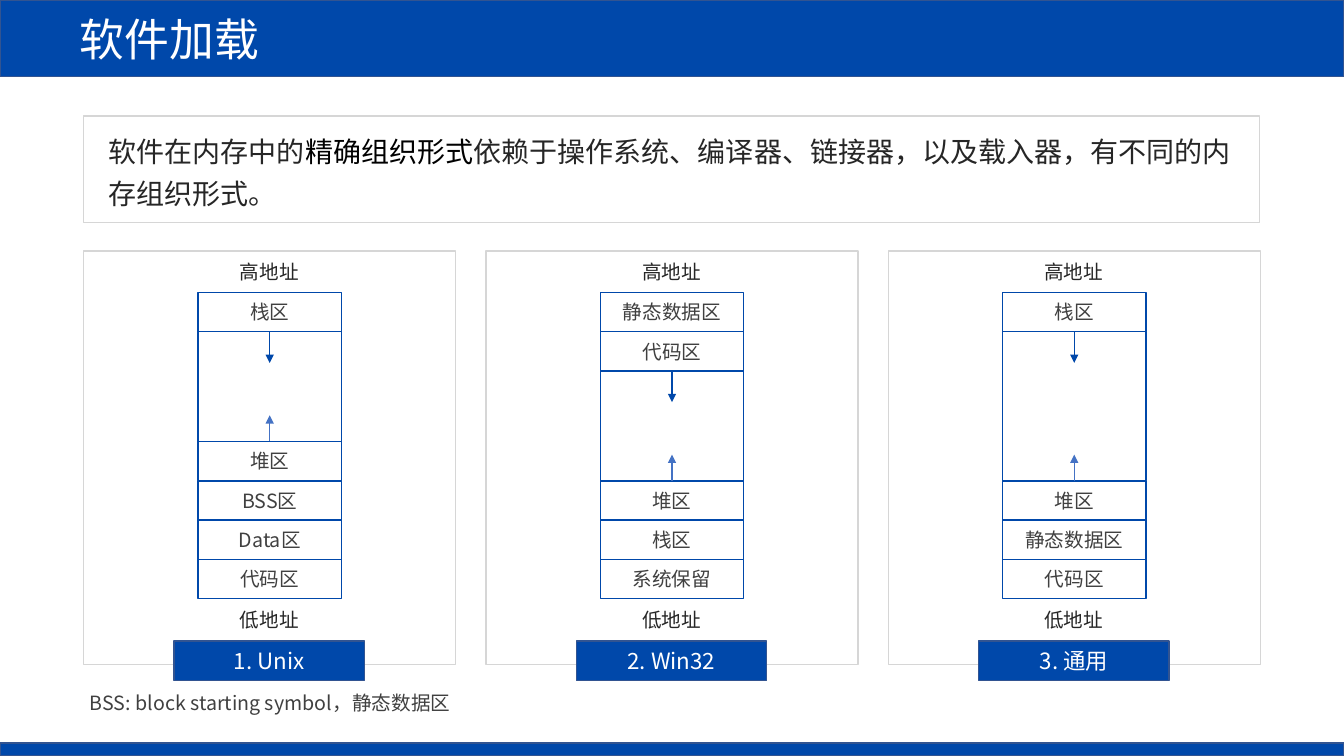
from dataclasses import dataclass

from lxml import etree
from pptx import Presentation
from pptx.dml.color import RGBColor
from pptx.enum.shapes import MSO_CONNECTOR, MSO_SHAPE
from pptx.enum.text import MSO_ANCHOR, PP_ALIGN
from pptx.oxml.ns import qn
from pptx.util import Inches, Pt

RECT = MSO_SHAPE.RECTANGLE
STRAIGHT = MSO_CONNECTOR.STRAIGHT
LEFT, CENTER = PP_ALIGN.LEFT, PP_ALIGN.CENTER
TOP, MIDDLE = MSO_ANCHOR.TOP, MSO_ANCHOR.MIDDLE
TOP_SIDE, BOTTOM_SIDE = 0, 2


@dataclass(frozen=True)
class Theme:
    font: str = "Noto Sans CJK SC"
    blue: str = "0048AA"
    edge: str = "325491"
    arrow: str = "4472C4"
    frame: str = "D6D6D6"
    white: str = "FFFFFF"
    black: str = "000000"
    dark: str = "262626"
    grey: str = "404040"
    title: int = 32
    body: int = 20
    caption: int = 16
    label: int = 14


THEME = Theme()
SLIDE_W, SLIDE_H = 13.33, 7.5
CELL_W, CELL_H = 1.42, 0.39
PANEL_W, PANEL_H, PANEL_PITCH = 3.69, 4.1, 3.99
INSETS = (0.1, 0.05, 0.1, 0.05)

INTRO = [
    ("软件在内存中的", THEME.dark),
    ("精确组织形式", THEME.black),
    ("依赖于操作系统、编译器、链接器，以及载入器，有不同的内存组织形式。", THEME.dark),
]
LAYOUTS = [
    ("1. Unix", ["栈区"], ["堆区", "BSS区", "Data区", "代码区"]),
    ("2. Win32", ["静态数据区", "代码区"], ["堆区", "栈区", "系统保留"]),
    ("3. 通用", ["栈区"], ["堆区", "静态数据区", "代码区"]),
]


def write(sp, text, size=THEME.label, color=THEME.grey, align=CENTER, anchor=MIDDLE,
          insets=INSETS, wrap=True, spacing=None):
    tf = sp.text_frame
    tf.word_wrap = wrap
    tf.vertical_anchor = anchor
    tf.margin_left, tf.margin_top, tf.margin_right, tf.margin_bottom = map(Inches, insets)
    p = tf.paragraphs[0]
    p.alignment = align
    if spacing:
        p.line_spacing = spacing
    for part, part_color in [(text, color)] if isinstance(text, str) else text:
        r = p.add_run()
        r.text = part
        r.font.size = Pt(size)
        r.font.color.rgb = RGBColor.from_string(part_color)
        r.font.name = THEME.font
        etree.SubElement(r.font._element, qn("a:ea"), typeface=THEME.font)


def add_rect(shapes, x, y, w, h, line, fill=None):
    sp = shapes.add_shape(RECT, Inches(x), Inches(y), Inches(w), Inches(h))
    sp.shadow.inherit = False
    if fill:
        sp.fill.solid()
        sp.fill.fore_color.rgb = RGBColor.from_string(fill)
    else:
        sp.fill.background()
    sp.line.color.rgb = RGBColor.from_string(line)
    sp.line.width = Pt(1)
    return sp


def add_text(shapes, x, y, w, h, text, **fmt):
    sp = shapes.add_textbox(Inches(x), Inches(y), Inches(w), Inches(h))
    write(sp, text, **fmt)


def add_arrow(shapes, cell, side, x, end_y, color):
    cxn = shapes.add_connector(STRAIGHT, Inches(x), Inches(end_y), Inches(x), Inches(end_y))
    cxn.begin_connect(cell, side)
    cxn.end_x, cxn.end_y = cxn.begin_x, Inches(end_y)
    cxn.line.color.rgb = RGBColor.from_string(color)
    cxn.line.width = Pt(1)
    etree.SubElement(cxn.line._get_or_add_ln(), qn("a:tailEnd"), type="triangle")
    etree.SubElement(cxn._element.spPr, qn("a:effectLst"))


def add_bars(shapes, w, h):
    header = add_rect(shapes, 0, 0, w, 0.76, THEME.edge, THEME.blue)
    write(header, "软件加载", size=THEME.title, color=THEME.white, align=LEFT,
          insets=(0.79, 0.05, 0.1, 0.05))
    add_rect(shapes, 0, h - 0.13, w, 0.13, THEME.edge, THEME.blue)


def add_intro(shapes, x, y, w, h):
    add_rect(shapes, x, y, w, h, THEME.frame)
    add_text(shapes, x + 0.15, y + 0.05, w - 0.3, h - 0.16, INTRO,
             size=THEME.body, align=LEFT, anchor=TOP, spacing=1.25)


def add_cells(shapes, x, y, names):
    cells = []
    for i, name in enumerate(names):
        cell = add_rect(shapes, x, y + i * CELL_H, CELL_W, CELL_H, THEME.blue)
        write(cell, name, insets=(0, 0, 0, 0))
        cells.append(cell)
    return cells


def add_memory_panel(shapes, x, y, w, h, caption, upper, lower):
    mid = x + w / 2
    cell_x = mid - CELL_W / 2
    stack_top, stack_bottom = y + 0.41, y + 3.45
    free_top = stack_top + len(upper) * CELL_H
    free_bottom = stack_bottom - len(lower) * CELL_H

    add_rect(shapes, x, y, w, h, THEME.frame)
    for label, label_y in (("高地址", y + 0.04), ("低地址", y + 3.49)):
        add_text(shapes, mid - 0.4, label_y, 0.79, 0.34, label,
                 color=THEME.dark, anchor=TOP, wrap=False)
    upper_cells = add_cells(shapes, cell_x, stack_top, upper)
    lower_cells = add_cells(shapes, cell_x, free_bottom, lower)
    add_rect(shapes, cell_x, free_top, CELL_W, free_bottom - free_top, THEME.blue)
    add_arrow(shapes, upper_cells[-1], BOTTOM_SIDE, mid, free_top + 0.31, THEME.blue)
    add_arrow(shapes, lower_cells[0], TOP_SIDE, mid, free_bottom - 0.26, THEME.arrow)
    tag = add_rect(shapes, mid - 0.95, y + 3.87, 1.89, CELL_H, THEME.edge, THEME.blue)
    write(tag, caption, size=THEME.caption, color=THEME.white)


def build_slide(prs):
    s = prs.slides.add_slide(prs.slide_layouts[6])
    add_bars(s.shapes, SLIDE_W, SLIDE_H)
    add_intro(s.shapes, 0.83, 1.15, 11.66, 1.06)
    for i, layout in enumerate(LAYOUTS):
        group = s.shapes.add_group_shape()
        add_memory_panel(group.shapes, 0.83 + i * PANEL_PITCH, 2.49, PANEL_W, PANEL_H, *layout)
    add_text(s.shapes, 0.72, 6.78, 3.92, 0.39, "BSS: block starting symbol，静态数据区",
             insets=(0, 0, 0, 0))


def main():
    prs = Presentation()
    prs.slide_width, prs.slide_height = Inches(SLIDE_W), Inches(SLIDE_H)
    build_slide(prs)
    prs.save("out.pptx")


if __name__ == "__main__":
    main()
